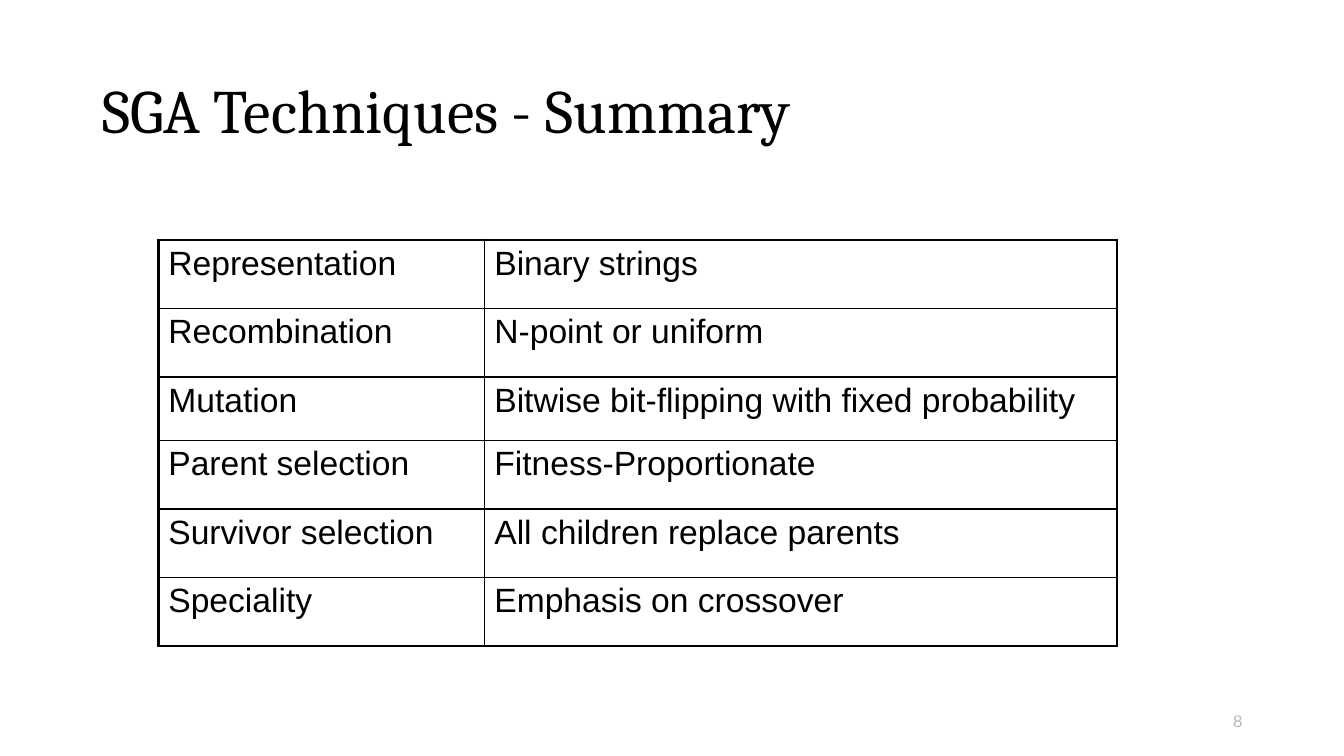
from lxml import etree
from pptx import Presentation
from pptx import util as u
from pptx.dml.color import RGBColor
from pptx.enum import text
from pptx.oxml.ns import qn

SLIDE_W, SLIDE_H = 13.33, 7.5
INK, MUTED = "000000", "B0BCC1"
OUTER, INNER = 2.25, 1

TECHNIQUES = [
    ("Representation", "Binary strings"),
    ("Recombination", "N-point or uniform"),
    ("Mutation", "Bitwise bit-flipping with fixed probability"),
    ("Parent selection", "Fitness-Proportionate"),
    ("Survivor selection", "All children replace parents"),
    ("Speciality", "Emphasis on crossover"),
]


def color(hex_value):
    return RGBColor.from_string(hex_value)


def style(paragraph, size, face, hex_value):
    font = paragraph.font
    font.size, font.name = u.Pt(size), face
    font.color.rgb = color(hex_value)


def add_line(slide, box, words, size, face, hex_value, align):
    """One line of text, centred vertically in its box."""
    frame = slide.shapes.add_textbox(*map(u.Inches, box)).text_frame
    frame.word_wrap = True
    frame.vertical_anchor = text.MSO_ANCHOR.MIDDLE
    line = frame.paragraphs[0]
    line.text, line.alignment = words, align
    style(line, size, face, hex_value)
    return line


def add_border(cell, side, width):
    props = cell._tc.get_or_add_tcPr()
    edge = etree.SubElement(props, qn(f"a:ln{side}"), w=str(u.Pt(width)))
    fill = etree.SubElement(edge, qn("a:solidFill"))
    etree.SubElement(fill, qn("a:srgbClr"), val=INK)


def add_summary(slide, box, label_share, row_weights):
    """Technique table: labels left, choices right, heavy outer frame."""
    left, top, width, height = box
    rows, cols = len(TECHNIQUES), len(TECHNIQUES[0])
    table = slide.shapes.add_table(rows, cols, *map(u.Inches, box)).table
    table.first_row = table.horz_banding = False
    for column, share in zip(table.columns, (label_share, 1 - label_share)):
        column.width = u.Inches(width * share)
    for row, weight in zip(table.rows, row_weights):
        row.height = u.Inches(height * weight / sum(row_weights))

    for r, technique in enumerate(TECHNIQUES):
        for c, words in enumerate(technique):
            cell = table.cell(r, c)
            cell.text = words
            style(cell.text_frame.paragraphs[0], 24, "Arial", INK)
            on_frame = {"L": c == 0, "R": c == cols - 1,
                        "T": r == 0, "B": r == rows - 1}
            for side, outer in on_frame.items():
                add_border(cell, side, OUTER if outer else INNER)
            cell.fill.background()


def build_slide(deck):
    slide = deck.slides.add_slide(deck.slide_layouts[6])
    # Title
    title = add_line(slide, (0.92, 0.4, 11.5, 1.45), "SGA Techniques - Summary",
                     44, "Cambria", INK, text.PP_ALIGN.LEFT)
    title.line_spacing = 0.9
    # Techniques
    add_summary(slide, (1.57, 2.38, 9.51, 4.03), 0.34,
                (0.68, 0.68, 0.63, 0.68, 0.68, 0.68))
    # Slide number
    add_line(slide, (9.42, 6.95, 3, 0.4), "8", 12, "Arial", MUTED,
             text.PP_ALIGN.RIGHT)


deck = Presentation()
deck.slide_width, deck.slide_height = u.Inches(SLIDE_W), u.Inches(SLIDE_H)
build_slide(deck)
deck.save("out.pptx")
